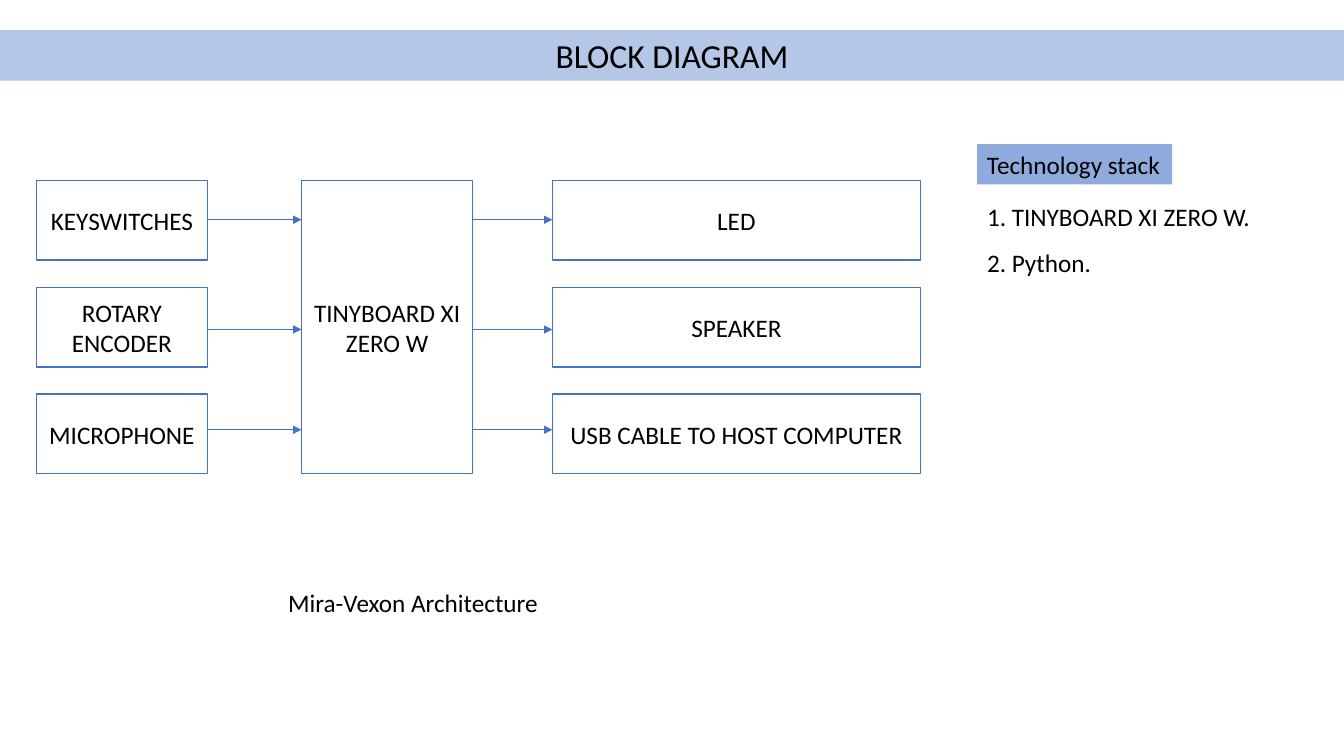
from collections import namedtuple
from dataclasses import dataclass

from lxml import etree
from pptx import Presentation
from pptx.dml.color import RGBColor
from pptx.enum.shapes import MSO_CONNECTOR, MSO_SHAPE
from pptx.enum.text import MSO_ANCHOR, PP_ALIGN
from pptx.oxml.ns import qn
from pptx.util import Inches, Pt

RECT = MSO_SHAPE.RECTANGLE
LINE = MSO_CONNECTOR.STRAIGHT
TOP, MIDDLE = MSO_ANCHOR.TOP, MSO_ANCHOR.MIDDLE
LEFT, CENTER = PP_ALIGN.LEFT, PP_ALIGN.CENTER

Box = namedtuple("Box", "x y w h")


@dataclass(frozen=True)
class Theme:
    """Colours, font and sizes in points."""
    font: str = "Calibri"
    ink: str = "000000"
    paper: str = "FFFFFF"
    edge: str = "4472C4"
    band: str = "B4C7E7"
    tag: str = "8FAADC"
    title: int = 24
    body: int = 18
    border: float = 1
    wire: float = 0.5


THEME = Theme()
PAGE = Box(0, 0, Inches(13.33), Inches(7.5))


def part(box, x, y, w, h):
    """Return a box inside another, given in percent of its size."""
    return Box(int(box.x + box.w * x / 100), int(box.y + box.h * y / 100),
               int(box.w * w / 100), int(box.h * h / 100))


def color(code):
    """Turn a hex code into a colour."""
    return RGBColor.from_string(code)


def write(shape, text, size=THEME.body, align=LEFT, anchor=TOP, wrap=True):
    """Put one styled paragraph into a shape."""
    frame = shape.text_frame
    frame.word_wrap = wrap
    frame.vertical_anchor = anchor
    para = frame.paragraphs[0]
    para.text = text
    para.alignment = align
    para.font.name = THEME.font
    para.font.size = Pt(size)
    para.font.color.rgb = color(THEME.ink)


def block(slide, box, fill, edge=None):
    """Draw a flat rectangle with an optional border."""
    shape = slide.shapes.add_shape(RECT, *box)
    shape.shadow.inherit = False
    shape.fill.solid()
    shape.fill.fore_color.rgb = color(fill)
    if edge:
        shape.line.color.rgb = color(edge)
        shape.line.width = Pt(THEME.border)
    else:
        shape.line.fill.background()
    return shape


def node(slide, box, text):
    """Draw one labelled unit of the diagram."""
    shape = block(slide, box, THEME.paper, THEME.edge)
    write(shape, text, align=CENTER, anchor=MIDDLE)


def arrow(slide, start, end, y):
    """Draw a level arrow from start to end."""
    line = slide.shapes.add_connector(LINE, start, y, end, y)
    line.line.color.rgb = color(THEME.edge)
    line.line.width = Pt(THEME.wire)
    etree.SubElement(line.line._get_or_add_ln(), qn("a:tailEnd"),
                     type="triangle")
    etree.SubElement(line._element.spPr, qn("a:effectLst"))


def note(slide, box, text):
    """Place a plain line of text."""
    write(slide.shapes.add_textbox(*box), text)


def header(slide, box, text):
    """Draw the title band."""
    write(block(slide, box, THEME.band), text, THEME.title, CENTER)


def diagram(slide, box, inputs, core, outputs):
    """Draw inputs, core and outputs in three columns joined by arrows."""
    cols = ((0, 19.38), (30, 19.38), (58.38, 41.62))
    tall = 27.15
    step = (100 - tall) / (len(inputs) - 1)
    ins, hub, outs = (part(box, x, 0, w, 100) for x, w in cols)

    node(slide, hub, core)
    for col, names in ((ins, inputs), (outs, outputs)):
        for row, name in enumerate(names):
            node(slide, part(col, 0, row * step, 100, tall), name)

    for share in (13.4, 50.8, 85):
        y = part(box, 0, share, 0, 0).y
        for a, b in ((ins, hub), (hub, outs)):
            arrow(slide, a.x + a.w, b.x, y)


def stack(slide, box, title, items):
    """Draw a tagged heading with its numbered lines below."""
    tag = block(slide, part(box, 0, 0, 66, 29.2), THEME.tag)
    write(tag, title, wrap=False)
    for i, item in enumerate(items):
        spot = part(box, 0, 38 + i * 32.85, 100, 29.2)
        note(slide, spot, f"{i + 1}. {item}")


def main():
    """Build and save the slide."""
    deck = Presentation()
    deck.slide_width, deck.slide_height = PAGE.w, PAGE.h
    slide = deck.slides.add_slide(deck.slide_layouts[6])
    board = "TINYBOARD XI ZERO W"

    header(slide, part(PAGE, 0, 4, 100, 6.67), "BLOCK DIAGRAM")
    diagram(slide, part(PAGE, 2.7, 23.87, 65.78, 38.8),
            ("KEYSWITCHES", "ROTARY ENCODER", "MICROPHONE"),
            board,
            ("LED", "SPEAKER", "USB CABLE TO HOST COMPUTER"))
    note(slide, part(PAGE, 20.7, 77.07, 21, 5.33), "Mira-Vexon Architecture")
    stack(slide, part(PAGE, 72.7, 19.07, 22, 18.27), "Technology stack",
          (board + ".", "Python."))
    deck.save("out.pptx")


main()
